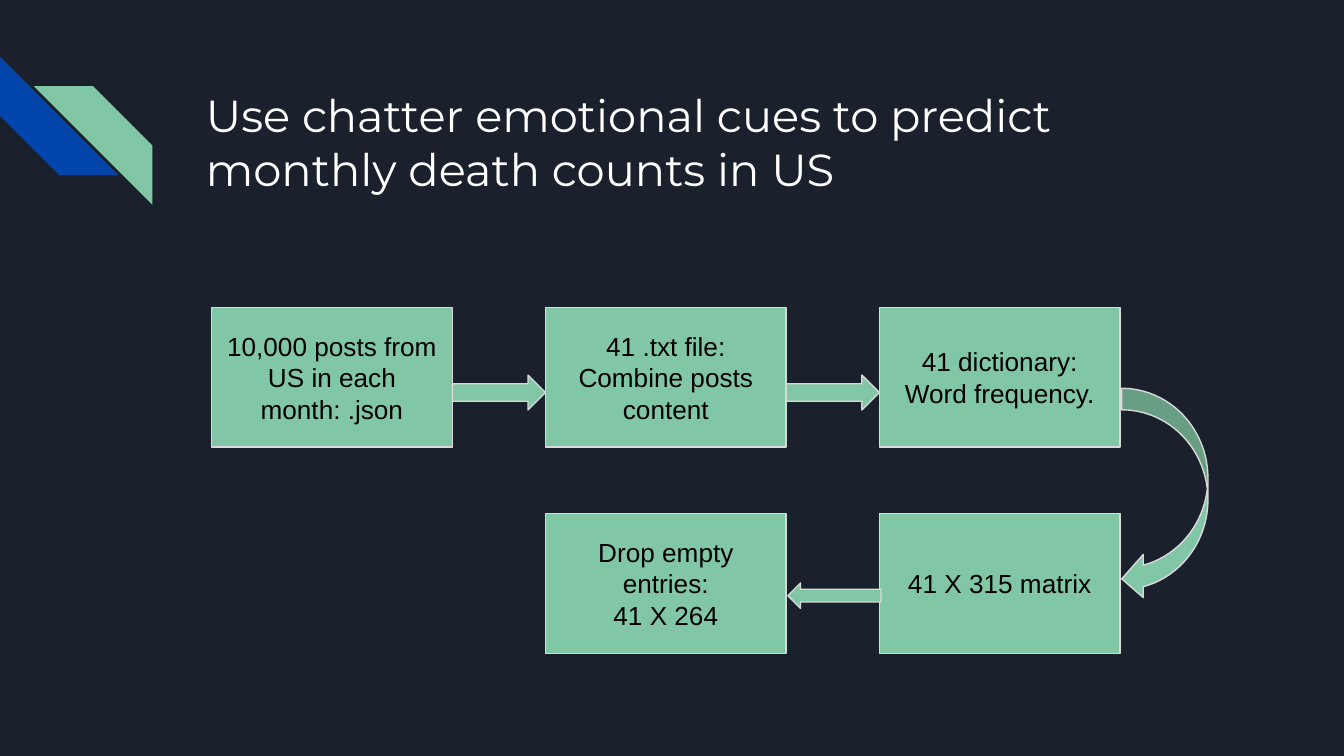
from dataclasses import dataclass

from pptx import Presentation
from pptx.dml.color import RGBColor
from pptx.enum.shapes import MSO_SHAPE
from pptx.enum.text import MSO_ANCHOR, MSO_AUTO_SIZE, PP_ALIGN
from pptx.util import Cm, Pt

NAVY, BLUE, GREEN = "1B212C", "0145AC", "82C7A5"
GREY, WHITE, BLACK = "D9D9D9", "FFFFFF", "000000"
GRID_LEFT, GRID_TOP = 4.0, 5.81
STEP_WIDTH, STEP_HEIGHT = 4.55, 2.64
COLUMN_PITCH, ROW_PITCH = 6.31, 3.9
GAP = COLUMN_PITCH - STEP_WIDTH
STRIPE_SIZE = 2.24


@dataclass
class Step:
    column: int
    row: int
    lines: tuple[str, ...]


@dataclass
class Arrow:
    kind: MSO_SHAPE
    left: float
    top: float
    width: float
    height: float


def column_left(column: int) -> float:
    """Return the left edge of a grid column in centimetres."""
    return GRID_LEFT + column * COLUMN_PITCH


def paint(fill, colour: str) -> None:
    """Apply a solid colour given as a hex string."""
    fill.solid()
    fill.fore_color.rgb = RGBColor.from_string(colour)


def add_figure(slide, kind, left, top, width, height, colour, outline=None):
    """Add a flat preset shape with an optional outline."""
    figure = slide.shapes.add_shape(kind, Cm(left), Cm(top), Cm(width), Cm(height))
    figure.shadow.inherit = False
    paint(figure.fill, colour)
    if outline:
        paint(figure.line.fill, outline)
        figure.line.width = Pt(0.75)
    else:
        figure.line.fill.background()
    return figure


def write(frame, lines, font, size, colour, alignment, anchor) -> None:
    """Write one formatted paragraph per line."""
    frame.word_wrap = True
    frame.auto_size = MSO_AUTO_SIZE.NONE
    frame.vertical_anchor = anchor
    frame.margin_left = frame.margin_right = Cm(0.25)
    frame.margin_top = frame.margin_bottom = Cm(0.25)
    for index, line in enumerate(lines):
        paragraph = frame.add_paragraph() if index else frame.paragraphs[0]
        paragraph.alignment = alignment
        run = paragraph.add_run()
        run.text = line
        run.font.name = font
        run.font.size = Pt(size)
        paint(run.font.fill, colour)


def add_step(slide, step: Step) -> None:
    """Draw one process step in its grid cell."""
    box = add_figure(slide, MSO_SHAPE.RECTANGLE, column_left(step.column),
                     GRID_TOP + step.row * ROW_PITCH,
                     STEP_WIDTH, STEP_HEIGHT, GREEN, GREY)
    write(box.text_frame, step.lines, "Arial", 14, BLACK,
          PP_ALIGN.CENTER, MSO_ANCHOR.MIDDLE)


def add_arrow(slide, arrow: Arrow) -> None:
    """Draw one block arrow between steps."""
    add_figure(slide, arrow.kind, arrow.left, arrow.top,
               arrow.width, arrow.height, GREEN, GREY)


STEPS = [
    Step(0, 0, ("10,000 posts from US in each month: .json",)),
    Step(1, 0, ("41 .txt file:", "Combine posts content")),
    Step(2, 0, ("41 dictionary:", "Word frequency.")),
    Step(2, 1, ("41 X 315 matrix",)),
    Step(1, 1, ("Drop empty entries:", "41 X 264")),
]
ARROWS = [
    *(Arrow(MSO_SHAPE.RIGHT_ARROW, column_left(column) + STEP_WIDTH, 7.09, GAP, 0.66)
      for column in (0, 1)),
    Arrow(MSO_SHAPE.CURVED_LEFT_ARROW, 21.2, 7.34, 1.63, 4.01),
    Arrow(MSO_SHAPE.LEFT_ARROW, 14.89, 11.02, GAP, 0.48),
]


def main() -> None:
    """Build and save the process slide."""
    deck = Presentation()
    deck.slide_width, deck.slide_height = Cm(25.4), Cm(14.29)
    slide = deck.slides.add_slide(deck.slide_layouts[5])
    paint(slide.background.fill, NAVY)

    blue_stripe = add_figure(slide, MSO_SHAPE.DIAGONAL_STRIPE, 0, 1.07,
                             STRIPE_SIZE, STRIPE_SIZE, BLUE)
    blue_stripe.rotation = 270
    green_stripe = add_figure(slide, MSO_SHAPE.DIAGONAL_STRIPE, 0.64, 1.63,
                              STRIPE_SIZE, STRIPE_SIZE, GREEN)
    green_stripe.element.spPr.xfrm.set("flipH", "1")

    title = slide.shapes.title
    title.left, title.top = Cm(3.64), Cm(1.41)
    title.width, title.height = Cm(19.56), Cm(2.54)
    write(title.text_frame,
          ("Use chatter emotional cues to predict monthly death counts in US",),
          "Montserrat", 24, WHITE, PP_ALIGN.LEFT, MSO_ANCHOR.TOP)

    for step in STEPS:
        add_step(slide, step)
    for arrow in ARROWS:
        add_arrow(slide, arrow)
    deck.save("out.pptx")


main()
